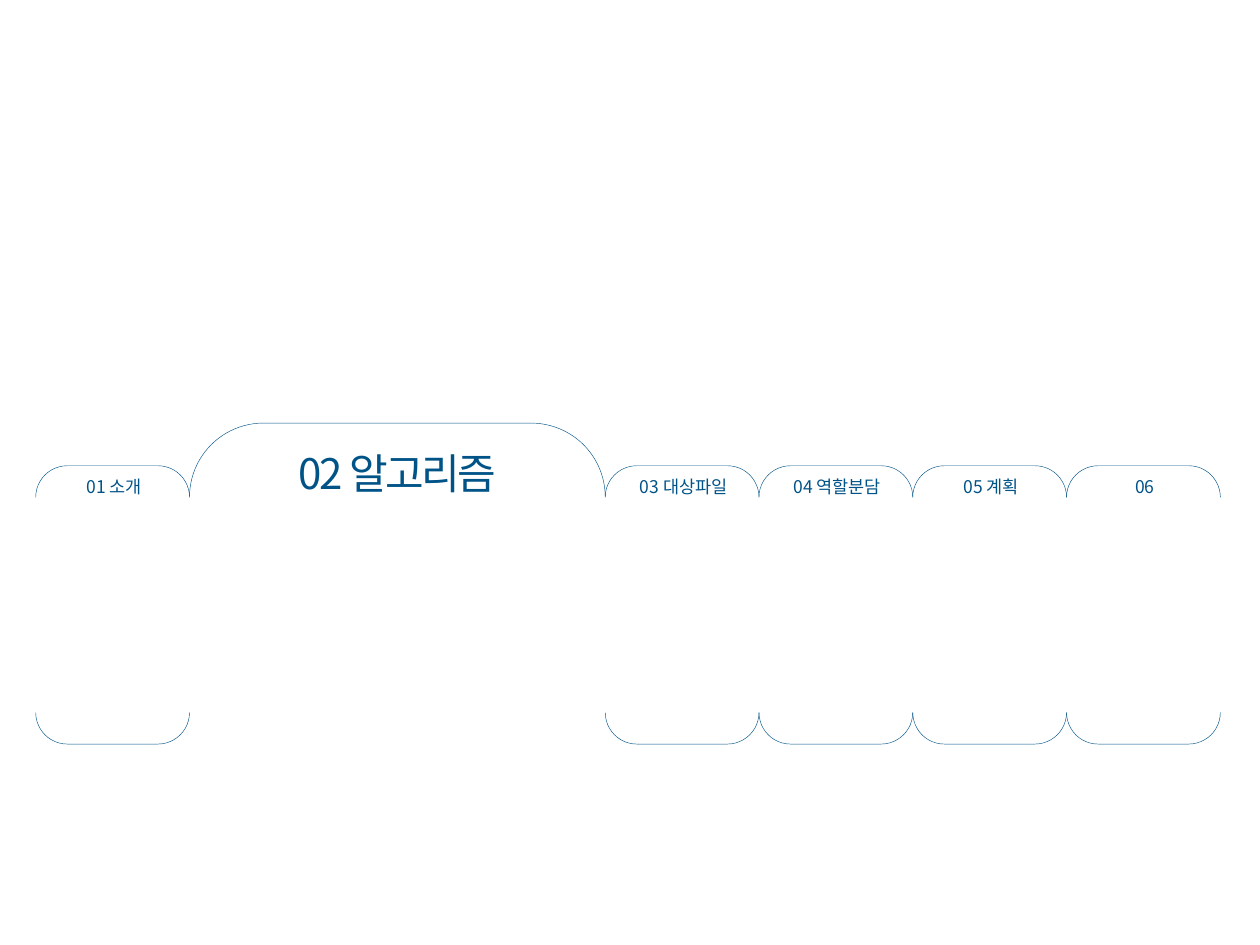
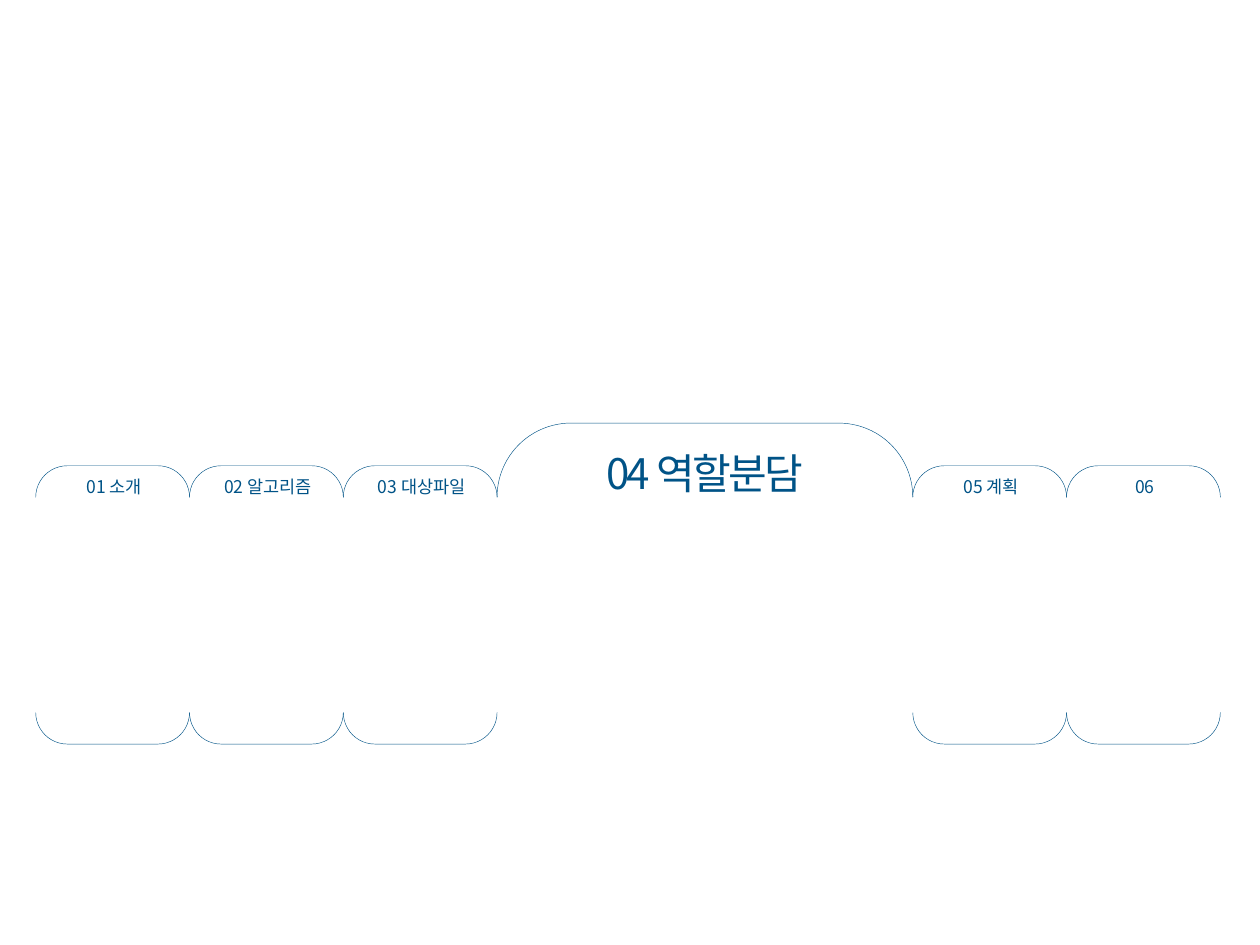
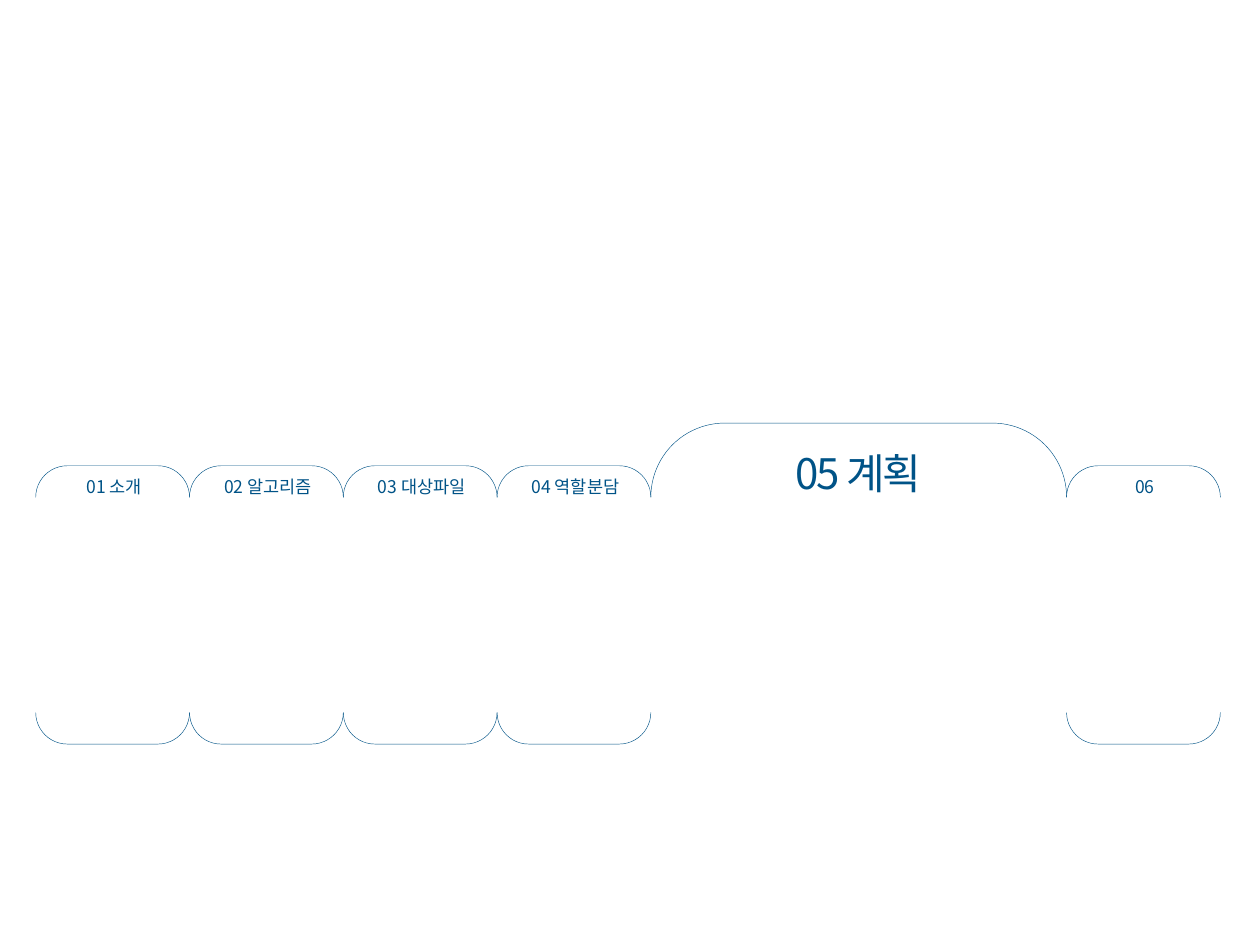
from dataclasses import dataclass

from lxml import etree
from pptx import Presentation
from pptx.dml.color import RGBColor
from pptx.enum.shapes import MSO_SHAPE
from pptx.enum.text import MSO_AUTO_SIZE, PP_ALIGN
from pptx.oxml.ns import qn
from pptx.util import Cm, Pt

BRACKET = MSO_SHAPE.DOUBLE_BRACKET
GROW = MSO_AUTO_SIZE.SHAPE_TO_FIT_TEXT
CENTER = PP_ALIGN.CENTER


@dataclass(frozen=True)
class Theme:
    blue: RGBColor = RGBColor(0x00, 0x53, 0x87)
    font: str = "Noto Sans CJK KR"
    line: float = 0.25


@dataclass(frozen=True)
class Tab:
    width: float
    height: float
    top: float
    bend: float
    text_top: float
    text_width: float
    text_height: float
    shift: float
    size: int
    track: int


THEME = Theme()
SMALL = Tab(3.1, 5.61, 9.39, 0.205, 9.47, 4.24, 0.69, 0.03, 10, 0)
LARGE = Tab(8.38, 13.41, 8.53, 0.178, 8.89, 6.93, 1.27, 0, 24, -150)
LEFT = 0.72
TOPICS = ["01 소개", "02 알고리즘", "03 대상파일", "04 역할분담", "05 계획", "06"]
ACTIVE = [1, 3, 4]


def add_frame(slide, mid, tab):
    left = mid - tab.height / 2
    top = tab.top + (tab.height - tab.width) / 2
    frame = slide.shapes.add_shape(
        BRACKET, Cm(left), Cm(top), Cm(tab.height), Cm(tab.width))
    frame.rotation = 90
    frame.adjustments[0] = tab.bend
    frame.shadow.inherit = False
    frame.fill.background()
    frame.line.color.rgb = THEME.blue
    frame.line.width = Pt(THEME.line)


def add_label(slide, text, mid, tab):
    left = mid + tab.shift - tab.text_width / 2
    box = slide.shapes.add_textbox(
        Cm(left), Cm(tab.text_top), Cm(tab.text_width), Cm(tab.text_height))
    body = box.text_frame
    body.word_wrap = True
    body.auto_size = GROW
    para = body.paragraphs[0]
    para.alignment = CENTER
    run = para.add_run()
    run.text = text
    font = run.font
    font.name = THEME.font
    font.size = Pt(tab.size)
    font.color.rgb = THEME.blue
    props = run._r.get_or_add_rPr()
    etree.SubElement(props, qn("a:ea")).set("typeface", THEME.font)
    if tab.track:
        props.set("spc", str(tab.track))


def add_tabs(slide, active):
    left = LEFT
    for index, topic in enumerate(TOPICS):
        tab = LARGE if index == active else SMALL
        mid = left + tab.width / 2
        add_frame(slide, mid, tab)
        add_label(slide, topic, mid, tab)
        left += tab.width


def main():
    deck = Presentation()
    deck.slide_width = Cm(25.4)
    deck.slide_height = Cm(19.05)
    blank = deck.slide_layouts[6]
    for active in ACTIVE:
        add_tabs(deck.slides.add_slide(blank), active)
    deck.save("out.pptx")


if __name__ == "__main__":
    main()
